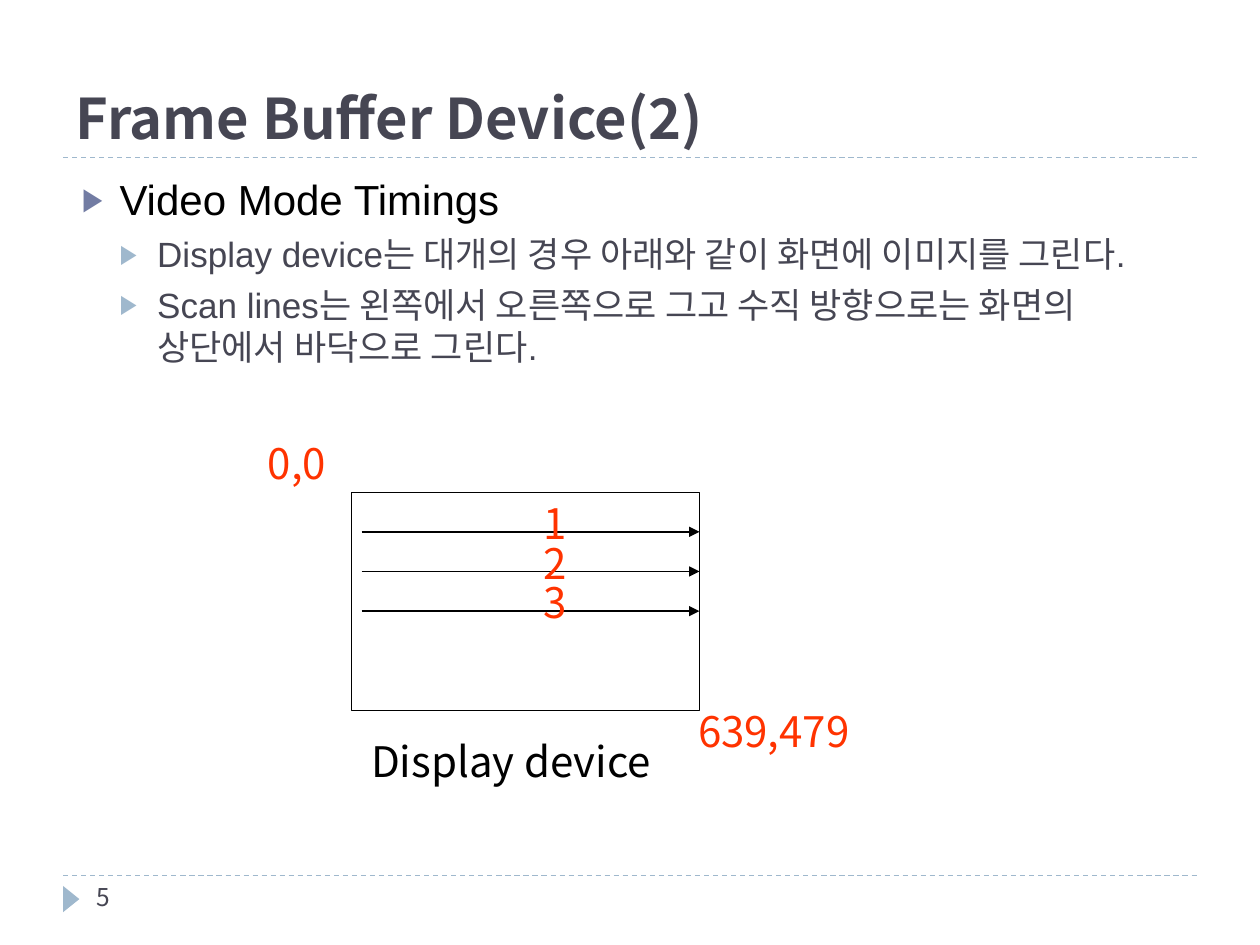
from lxml.etree import SubElement
from pptx import Presentation
from pptx.dml.color import RGBColor
from pptx.enum.dml import MSO_LINE
from pptx.enum.shapes import MSO_CONNECTOR, MSO_SHAPE
from pptx.enum.text import MSO_ANCHOR, MSO_AUTO_SIZE, PP_ALIGN
from pptx.oxml.ns import qn
from pptx.util import Cm, Pt

BLACK = RGBColor(0x00, 0x00, 0x00)
SLATE = RGBColor(0x46, 0x46, 0x53)
INDIGO = RGBColor(0x72, 0x7C, 0xA3)
SKY = RGBColor(0x9F, 0xB8, 0xCD)
RED = RGBColor(0xFF, 0x33, 0x00)
NOTO = "Noto Sans CJK KR"


def add_run(p, text, color, **formats):
    r = p.add_run()
    r.text = text
    r.font.color.rgb = color
    for name, value in formats.items():
        setattr(r.font, name, value)
    SubElement(r._r.get_or_add_rPr(), qn("a:ea"), typeface=NOTO)


def add_line(shapes, x1, x2, y, color, width):
    sp = shapes.add_connector(MSO_CONNECTOR.STRAIGHT, Cm(x1), Cm(y), Cm(x2), Cm(y))
    sp.line.color.rgb = color
    sp.line.width = Pt(width)
    SubElement(sp._element.spPr, qn("a:effectLst"))
    return sp


prs = Presentation()
prs.slide_width, prs.slide_height = Cm(25.4), Cm(19.05)
s = prs.slides.add_slide(prs.slide_layouts[5])

for y in (17.65, 3.18):
    add_line(s.shapes, 1.27, 24.13, y, SKY, 0.75).line.dash_style = MSO_LINE.DASH

sp = s.shapes.add_shape(MSO_SHAPE.ISOSCELES_TRIANGLE, Cm(1.17), Cm(17.96), Cm(0.53), Cm(0.33))
sp.rotation = 90
sp.shadow.inherit = False
sp.fill.solid()
sp.fill.fore_color.rgb = SKY
sp.line.fill.background()

title = s.shapes.title
title_format = {"left": Cm(1.27), "top": Cm(0.43), "width": Cm(22.86), "height": Cm(2.74)}
for name, value in title_format.items():
    setattr(title, name, value)
tf = title.text_frame
tf.auto_size = MSO_AUTO_SIZE.NONE
tf.vertical_anchor = MSO_ANCHOR.BOTTOM
p = tf.paragraphs[0]
p.alignment = PP_ALIGN.LEFT
add_run(p, "Frame Buffer Device(2)", SLATE, size=Pt(32), name=NOTO, bold=True)

tf = s.shapes.add_textbox(Cm(1.4), Cm(3.38), Cm(22.86), Cm(13.72)).text_frame
tf.word_wrap = True
bullets = [
    (0, "Video Mode Timings", 24, BLACK, INDIGO),
    (1, "Display device는 대개의 경우 아래와 같이 화면에 이미지를 그린다.", 20, SLATE, SKY),
    (1, "Scan lines는 왼쪽에서 오른쪽으로 그고 수직 방향으로는 화면의 상단에서 바닥으로 그린다.", 20, SLATE, SKY),
]
for i, (level, text, size, color, bullet_color) in enumerate(bullets):
    p = tf.add_paragraph() if i else tf.paragraphs[0]
    p.level = level
    p.space_before = Pt(5 if i else 0)
    pPr = p._p.get_or_add_pPr()
    pPr.set("marL", str(Cm(0.76 * (level + 1))))
    pPr.set("indent", str(-Cm(0.76)))
    SubElement(SubElement(pPr, qn("a:buClr")), qn("a:srgbClr"), val=str(bullet_color))
    SubElement(pPr, qn("a:buSzPct"), val="76000")
    SubElement(pPr, qn("a:buFont"), typeface="Arial")
    SubElement(pPr, qn("a:buChar"), char="▶")
    add_run(p, text, color, size=Pt(size), name="Arial")

tf = s.shapes.add_textbox(Cm(1.7), Cm(17.65), Cm(5.51), Cm(1.02)).text_frame
tf.word_wrap = True
add_run(tf.paragraphs[0], "5", SLATE, size=Pt(14), name=NOTO)

display = s.shapes.add_group_shape().shapes
sp = display.add_shape(MSO_SHAPE.RECTANGLE, Cm(7.09), Cm(9.93), Cm(7.01), Cm(4.39))
sp.shadow.inherit = False
sp.fill.background()
sp.line.color.rgb = BLACK
sp.line.width = Pt(0.75)

scan_gap = 0.8
for i in range(3):
    sp = add_line(display, 7.29, 14.1, 10.72 + i * scan_gap, BLACK, 1)
    SubElement(sp.line._get_or_add_ln(), qn("a:tailEnd"), type="triangle")

labels = [(str(i + 1), 10.7, 10.13 + i * scan_gap, 1, RED) for i in range(3)]
labels += [
    ("0,0", 5.24, 8.92, 1.5, RED),
    ("639,479", 13.9, 14.33, 3.4, RED),
    ("Display device", 7.3, 14.94, 6, BLACK),
]
label_format = {
    "word_wrap": False,
    "vertical_anchor": MSO_ANCHOR.MIDDLE,
    "margin_left": 0,
    "margin_right": 0,
}
for text, x, y, width, color in labels:
    tf = display.add_textbox(Cm(x), Cm(y), Cm(width), Cm(0.81)).text_frame
    for name, value in label_format.items():
        setattr(tf, name, value)
    p = tf.paragraphs[0]
    p.alignment = PP_ALIGN.CENTER
    add_run(p, text, color, size=Pt(24), name=NOTO)

prs.save("out.pptx")
